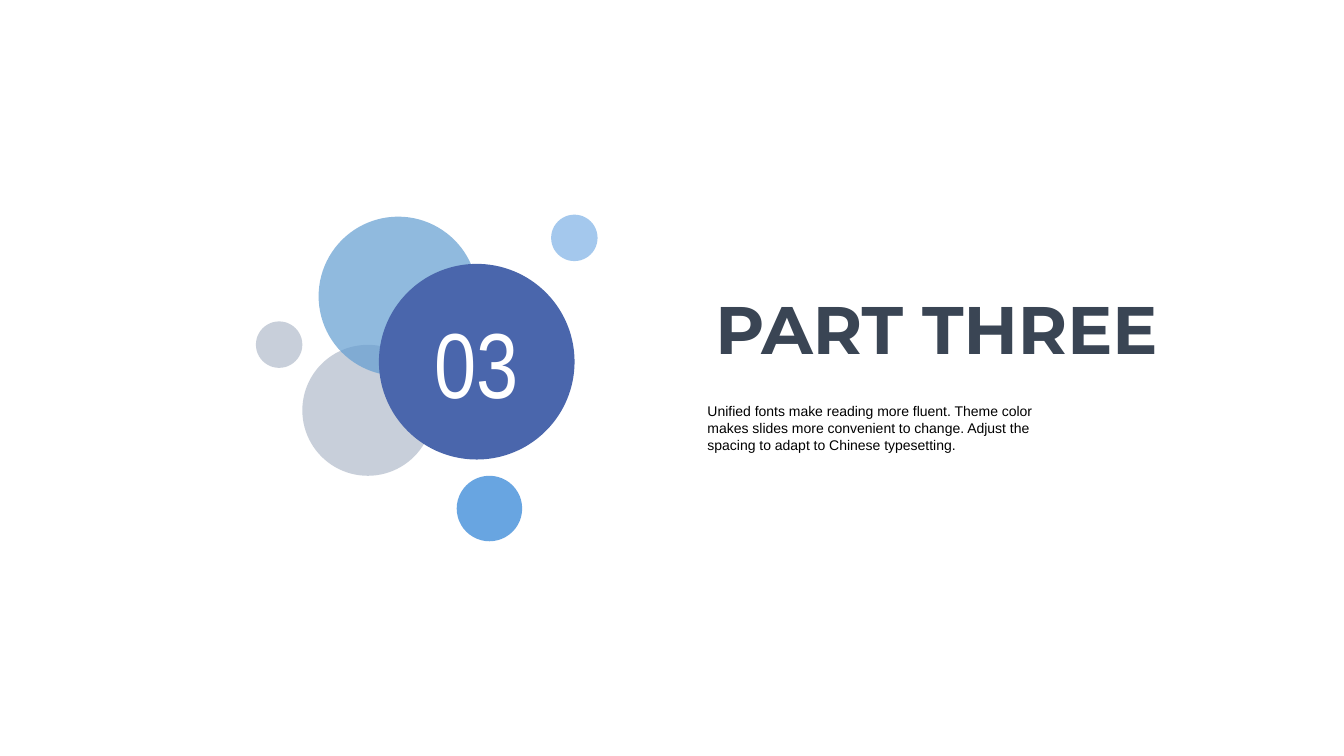
"""Build a section divider slide with a bubble cluster, a number and a title."""
import pptx
import pptx.util
import pptx.dml.color
import pptx.enum.shapes
import pptx.enum.text
import pptx.oxml.ns
import lxml.etree

Cm = pptx.util.Cm
Align = pptx.enum.text.PP_ALIGN
Anchor = pptx.enum.text.MSO_ANCHOR


def color(value):
    return pptx.dml.color.RGBColor.from_string(value)


def write(shape, text, font, size, ink, bold=False, align=Align.LEFT,
          anchor=Anchor.TOP, wrap=False, side=0.25):
    frame = shape.text_frame
    frame.word_wrap = wrap
    frame.vertical_anchor = anchor
    frame.margin_left = frame.margin_right = Cm(side)
    para = frame.paragraphs[0]
    para.alignment = align
    span = para.add_run()
    span.text = text
    span.font.name = font
    span.font.size = pptx.util.Pt(size)
    span.font.bold = bold
    span.font.color.rgb = color(ink)


deck = pptx.Presentation()
deck.slide_width, deck.slide_height = Cm(33.87), Cm(19.05)
page = deck.slides.add_slide(deck.slide_layouts[6])

bubbles = [
    (7.62, 8.69, 3.3, "B2BCCB", 70, ""),
    (8.03, 5.46, 4.01, "629DD1", 70, ""),
    (9.55, 6.65, 4.93, "4A66AC", 100, "03"),
    (11.51, 11.99, 1.65, "297FD5", 70, ""),
    (6.45, 8.1, 1.17, "B2BCCB", 70, ""),
    (13.89, 5.41, 1.17, "7EB2E6", 70, ""),
]
cluster = page.shapes.add_group_shape()
for left, top, size, fill, opacity, number in bubbles:
    bubble = cluster.shapes.add_shape(
        pptx.enum.shapes.MSO_SHAPE.OVAL, Cm(left), Cm(top), Cm(size), Cm(size))
    bubble.shadow.inherit = False
    bubble.line.fill.background()
    bubble.fill.solid()
    bubble.fill.fore_color.rgb = color(fill)
    if opacity < 100:
        tint = bubble.fill._xPr.find(".//" + pptx.oxml.ns.qn("a:srgbClr"))
        lxml.etree.SubElement(
            tint, pptx.oxml.ns.qn("a:alpha"), val=str(opacity * 1000))
    if number:
        write(bubble, number, "Arial Narrow", 66, "FFFFFF",
              align=Align.CENTER, anchor=Anchor.MIDDLE)

title = page.shapes.add_textbox(Cm(17.63), Cm(7.01), Cm(11.94), Cm(2.51))
write(title, "PART THREE", "Montserrat", 48, "3A4554", bold=True,
      align=Align.CENTER, anchor=Anchor.MIDDLE, side=0)

summary = page.shapes.add_textbox(Cm(17.58), Cm(10.03), Cm(9.09), Cm(1.55))
write(summary, "Unified fonts make reading more fluent. Theme color makes slides "
      "more convenient to change. Adjust the spacing to adapt to Chinese "
      "typesetting.", "Arial", 10, "000000", wrap=True)
summary.text_frame.auto_size = pptx.enum.text.MSO_AUTO_SIZE.SHAPE_TO_FIT_TEXT

deck.save("out.pptx")
